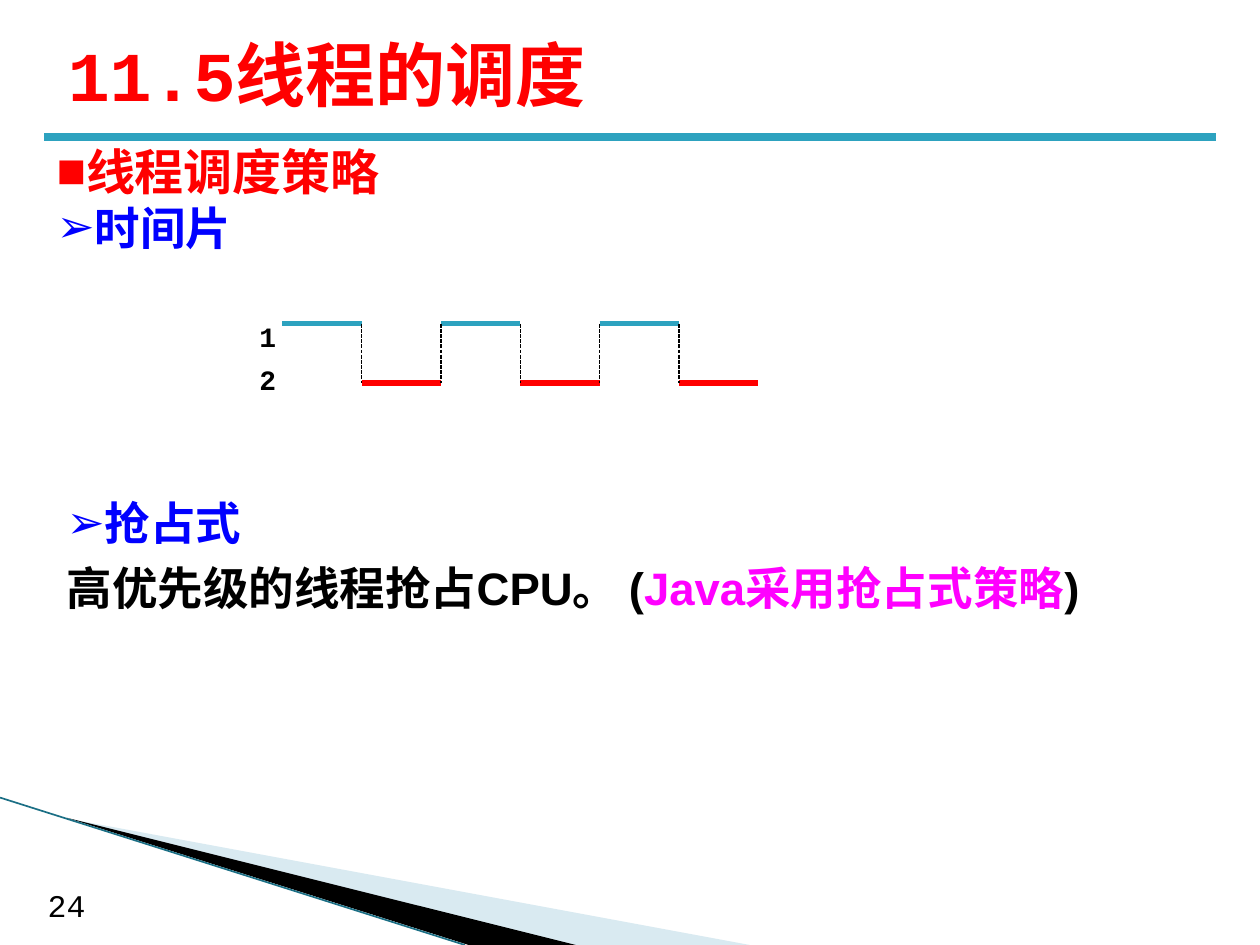
import pptx
import pptx.util
import pptx.dml.color
import pptx.enum.dml
import pptx.enum.shapes
import pptx.enum.text
import pptx.oxml.ns
from lxml import etree

COLORS = {
    "teal": "2DA2BF", "pale": "A0CBDC", "edge": "1B6F85", "black": "000000",
    "red": "FF0000", "blue": "0000FF", "magenta": "FF00FF",
}
WIDTH, HEIGHT = 10, 7.5
WAVE_LEFT, WAVE_STEP, WAVE_COUNT = 2.24, 0.63, 6
THREAD_LEVELS = [(2.57, "teal"), (3.04, "red")]
MONO, SANS = "Courier New", "Arial"
ALIGN = pptx.enum.text.PP_ALIGN
ANCHOR = pptx.enum.text.MSO_ANCHOR


def inches(*values):
    return [pptx.util.Inches(value) for value in values]


def rgb(name):
    return pptx.dml.color.RGBColor.from_string(COLORS[name])


def add_child(parent, tag, **attributes):
    return etree.SubElement(parent, pptx.oxml.ns.qn(tag), **attributes)


def add_line(shapes, start, end, color, weight, dashed=False):
    line = shapes.add_connector(
        pptx.enum.shapes.MSO_CONNECTOR.STRAIGHT, *inches(*start, *end))
    line.line.color.rgb = rgb(color)
    line.line.width = pptx.util.Pt(weight)
    if dashed:
        line.line.dash_style = pptx.enum.dml.MSO_LINE.SQUARE_DOT
    add_child(line._element.spPr, "a:effectLst")


def add_wedge(page, points, color, opacity=100):
    start, *others = [inches(*point) for point in points]
    builder = page.shapes.build_freeform(*start)
    builder.add_line_segments(others, close=True)
    wedge = builder.convert_to_shape()
    wedge.shadow.inherit = False
    wedge.line.fill.background()
    wedge.fill.solid()
    wedge.fill.fore_color.rgb = rgb(color)
    if opacity < 100:
        fill_color = wedge._element.spPr.find(".//" + pptx.oxml.ns.qn("a:srgbClr"))
        add_child(fill_color, "a:alpha", val=str(opacity * 1000))


def add_text(shapes, place, anchor=ANCHOR.TOP):
    box = shapes.add_textbox(*inches(*place))
    box.text_frame.word_wrap = True
    box.text_frame.vertical_anchor = anchor
    return box.text_frame


def write(para, spans, size, font, bold=True, bullet=None, align=ALIGN.LEFT, after=0):
    """Fill a paragraph with (text, color) spans and an optional bullet."""
    para.alignment = align
    para.space_after = pptx.util.Pt(after)
    for text, color in spans:
        span = para.add_run()
        span.text = text
        span.font.size = pptx.util.Pt(size)
        span.font.name = font
        span.font.bold = bold
        span.font.color.rgb = rgb(color)
    if bullet:
        properties = para._p.get_or_add_pPr()
        properties.set("marL", "0")
        properties.set("indent", "0")
        add_child(properties, "a:buFont", typeface=font)
        add_child(properties, "a:buChar", char=bullet)


def add_decoration(page):
    add_wedge(page, [(0.55, 6.5), (5.95, HEIGHT), (4.56, HEIGHT)], "pale", 40)
    add_wedge(page, [(0.53, 6.49), (4.57, HEIGHT), (3.72, HEIGHT)], "black")
    add_line(page.shapes, (0, 6.33), (3.69, HEIGHT), "edge", 0.95)
    add_line(page.shapes, (0.35, 1.09), (WIDTH - 0.35, 1.09), "teal", 4.5)


def add_time_slices(page):
    """Draw two threads taking turns, with a dashed line at each switch."""
    shapes = page.shapes.add_group_shape().shapes
    top, bottom = [level for level, _ in THREAD_LEVELS]
    for turn in range(WAVE_COUNT):
        left = WAVE_LEFT + turn * WAVE_STEP
        level, color = THREAD_LEVELS[turn % 2]
        add_line(shapes, (left, level), (left + WAVE_STEP, level), color, 3)
        if turn:
            add_line(shapes, (left, top), (left, bottom), "black", 0.75, dashed=True)
    for row, label in enumerate("12"):
        frame = add_text(shapes, (1.85, 2.49 + row * 0.34, 0.55, 0.37))
        write(frame.paragraphs[0], [(label, "black")], 16, MONO, align=ALIGN.CENTER)


def main():
    deck = pptx.Presentation()
    deck.slide_width, deck.slide_height = inches(WIDTH, HEIGHT)
    page = deck.slides.add_slide(deck.slide_layouts[6])
    add_decoration(page)

    number = add_text(page.shapes, (0.28, 6.98, 0.55, 0.4))
    write(number.paragraphs[0], [("24", "black")], 18, MONO, bold=False)
    title = add_text(page.shapes, (0.44, 0.16, 9, 0.85), ANCHOR.MIDDLE)
    write(title.paragraphs[0], [("11.5线程的调度", "red")], 40, MONO)

    policy = add_text(page.shapes, (0.35, 1.07, 9.21, 1.01))
    write(policy.paragraphs[0], [("线程调度策略", "red")], 28, SANS, bullet="■")
    write(policy.add_paragraph(), [("时间片", "blue")], 26, SANS, bullet="➢")

    add_time_slices(page)

    preemption = add_text(page.shapes, (0.43, 3.88, 9.21, 1.06))
    write(preemption.paragraphs[0], [("抢占式", "blue")], 26, SANS, bullet="➢", after=6)
    write(preemption.add_paragraph(),
          [("高优先级的线程抢占CPU。 (", "black"),
           ("Java采用抢占式策略", "magenta"), (")", "black")], 26, SANS, after=6)
    deck.save("out.pptx")


if __name__ == "__main__":
    main()
